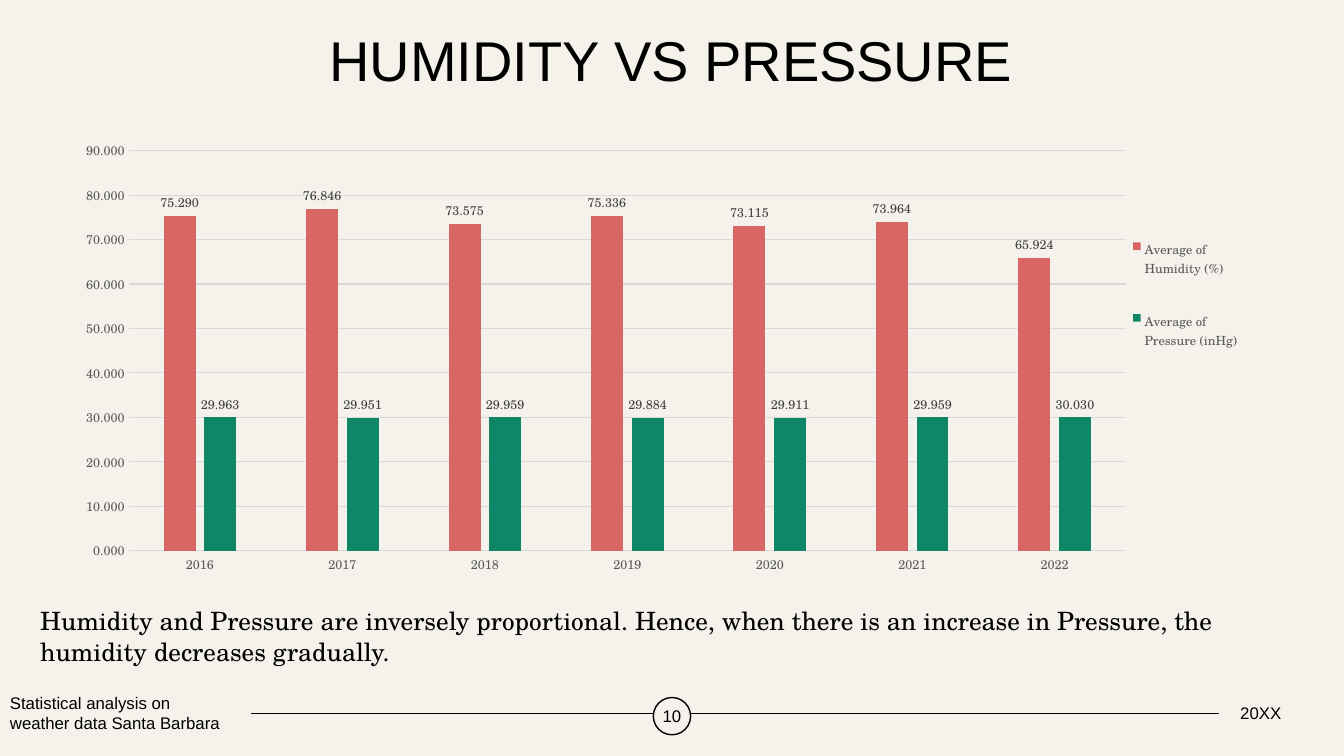
from lxml import etree
from pptx import Presentation
from pptx.chart.data import CategoryChartData
from pptx.dml.color import RGBColor
from pptx.enum.chart import XL_CHART_TYPE as ChartType, XL_LABEL_POSITION as LabelPosition
from pptx.enum.chart import XL_LEGEND_POSITION as LegendPosition, XL_TICK_MARK as TickMark
from pptx.enum.shapes import MSO_CONNECTOR as Connector, MSO_SHAPE as Shape
from pptx.enum.text import MSO_ANCHOR as Anchor, PP_ALIGN as Align
from pptx.oxml import parse_xml
from pptx.oxml.ns import nsdecls, qn
from pptx.util import Pt

PX = 9144  # 100 px to the inch
SANS, SERIF = "Arial", "TeX Gyre Schola"
COLORS = {
    "paper": "F5F2EB", "ink": "000000", "axis": "595959", "label": "404040",
    "grid": "D9D9D9", "humidity": "D96564", "pressure": "108669",
}


def set_font(font, name, size, color):
    font.name, font.size, font.bold = name, Pt(size), False
    font.color.rgb = RGBColor.from_string(COLORS[color])


def write(shape, lines, name, size, align=Align.LEFT, anchor=Anchor.MIDDLE, inset=None):
    """Fill a shape with one paragraph per line, all in one style."""
    frame = shape.text_frame
    frame.word_wrap = True
    frame.vertical_anchor = anchor
    if inset is not None:
        frame.margin_left = frame.margin_right = inset
        frame.margin_top = frame.margin_bottom = inset
    frame.text = "\n".join(lines)
    for paragraph in frame.paragraphs:
        paragraph.alignment = align
        set_font(paragraph.font, name, size, "ink")


presentation = Presentation()
presentation.slide_width, presentation.slide_height = 1333 * PX, 750 * PX
slide = presentation.slides.add_slide(presentation.slide_layouts[6])
slide.background.fill.solid()
slide.background.fill.fore_color.rgb = RGBColor.from_string(COLORS["paper"])
shapes = slide.shapes

# Footer line
footer_line = shapes.add_connector(Connector.STRAIGHT, 62 * PX, 708 * PX, 1267 * PX, 708 * PX)
footer_line.line.color.rgb = RGBColor.from_string(COLORS["ink"])
footer_line.line.width = Pt(1)
etree.SubElement(footer_line._element.spPr, qn("a:effectLst"))

# Title
title = shapes.add_textbox(64 * PX, 21 * PX, 1203 * PX, 83 * PX)
write(title, ["HUMIDITY VS PRESSURE"], SANS, 40, Align.CENTER)
title.text_frame.paragraphs[0].line_spacing = 0.9

# Footer date, name and page number
footer_parts = [
    (Shape.RECTANGLE, (1209, 692, 83, 30), ["20XX"], Align.CENTER, 0),
    (Shape.RECTANGLE, (0, 685, 249, 44),
     ["Statistical analysis on", "weather data Santa Barbara"], Align.LEFT, None),
    (Shape.OVAL, (648, 692, 37, 37), ["10"], Align.CENTER, 0),
]
for kind, box, lines, align, inset in footer_parts:
    part = shapes.add_shape(kind, *(length * PX for length in box))
    part.shadow.inherit = False
    part.fill.solid()
    part.fill.fore_color.rgb = RGBColor.from_string(COLORS["paper"])
    if kind == Shape.OVAL:
        part.line.color.rgb = RGBColor.from_string(COLORS["ink"])
        part.line.width = Pt(1)
    else:
        part.line.fill.background()
    write(part, lines, SANS, 12, align, inset=inset)

# Chart
chart_data = CategoryChartData(number_format="0.000")
chart_data.categories = [str(year) for year in range(2016, 2023)]
chart_data.add_series("Average of Humidity (%)",
                      [75.290, 76.846, 73.575, 75.336, 73.115, 73.964, 65.924])
chart_data.add_series("Average of Pressure (inHg)",
                      [29.963, 29.951, 29.959, 29.884, 29.911, 29.959, 30.030])
chart = shapes.add_chart(ChartType.COLUMN_CLUSTERED, 62 * PX, 109 * PX,
                         1172 * PX, 476 * PX, chart_data).chart
chart.has_title = False
set_font(chart.font, SERIF, 10, "ink")

plot = chart.plots[0]
plot.gap_width, plot.overlap = 219, -27
plot.vary_by_categories = False
for series, color in zip(plot.series, ("humidity", "pressure")):
    series.format.fill.solid()
    series.format.fill.fore_color.rgb = RGBColor.from_string(COLORS[color])
    series.invert_if_negative = False
    labels = series.data_labels
    labels.show_value = True
    labels.position = LabelPosition.OUTSIDE_END
    labels.number_format, labels.number_format_is_linked = "0.000", False
    set_font(labels.font, SERIF, 9, "label")

years, values = chart.category_axis, chart.value_axis
for axis in (years, values):
    axis.major_tick_mark = axis.minor_tick_mark = TickMark.NONE
    set_font(axis.tick_labels.font, SERIF, 9, "axis")
values.minimum_scale, values.maximum_scale, values.major_unit = 0, 90, 10
values.tick_labels.number_format = "0.000"
values.tick_labels.number_format_is_linked = False
values.format.line.fill.background()
for line in (years.format.line, values.major_gridlines.format.line):
    line.color.rgb = RGBColor.from_string(COLORS["grid"])
    line.width = Pt(0.75)

chart.has_legend = True
legend = chart.legend
legend.position = LegendPosition.RIGHT
legend.include_in_layout = False
set_font(legend.font, SERIF, 9, "axis")

# Fixed places of the plot and the legend, as shares of the chart
plot_area = chart._chartSpace.chart.plotArea
for old_layout in plot_area.findall(qn("c:layout")):
    plot_area.remove(old_layout)
layouts = [
    (plot_area, 0, '<c:layoutTarget val="inner"/>', (0.056, 0.085, 0.844, 0.834)),
    (legend._element, 1, "", (0.9, 0.2, 0.1, 0.37)),
]
for parent, index, target, (x, y, width, height) in layouts:
    parent.insert(index, parse_xml(
        f'<c:layout {nsdecls("c")}><c:manualLayout>{target}'
        '<c:xMode val="edge"/><c:yMode val="edge"/>'
        f'<c:x val="{x}"/><c:y val="{y}"/><c:w val="{width}"/><c:h val="{height}"/>'
        '</c:manualLayout></c:layout>'))

# Conclusion
conclusion = shapes.add_textbox(30 * PX, 596 * PX, 1195 * PX, 71 * PX)
write(conclusion, ["Humidity and Pressure are inversely proportional. Hence, when there is "
                   "an increase in Pressure, the humidity decreases gradually."],
      SERIF, 18, anchor=Anchor.TOP)

presentation.save("out.pptx")
